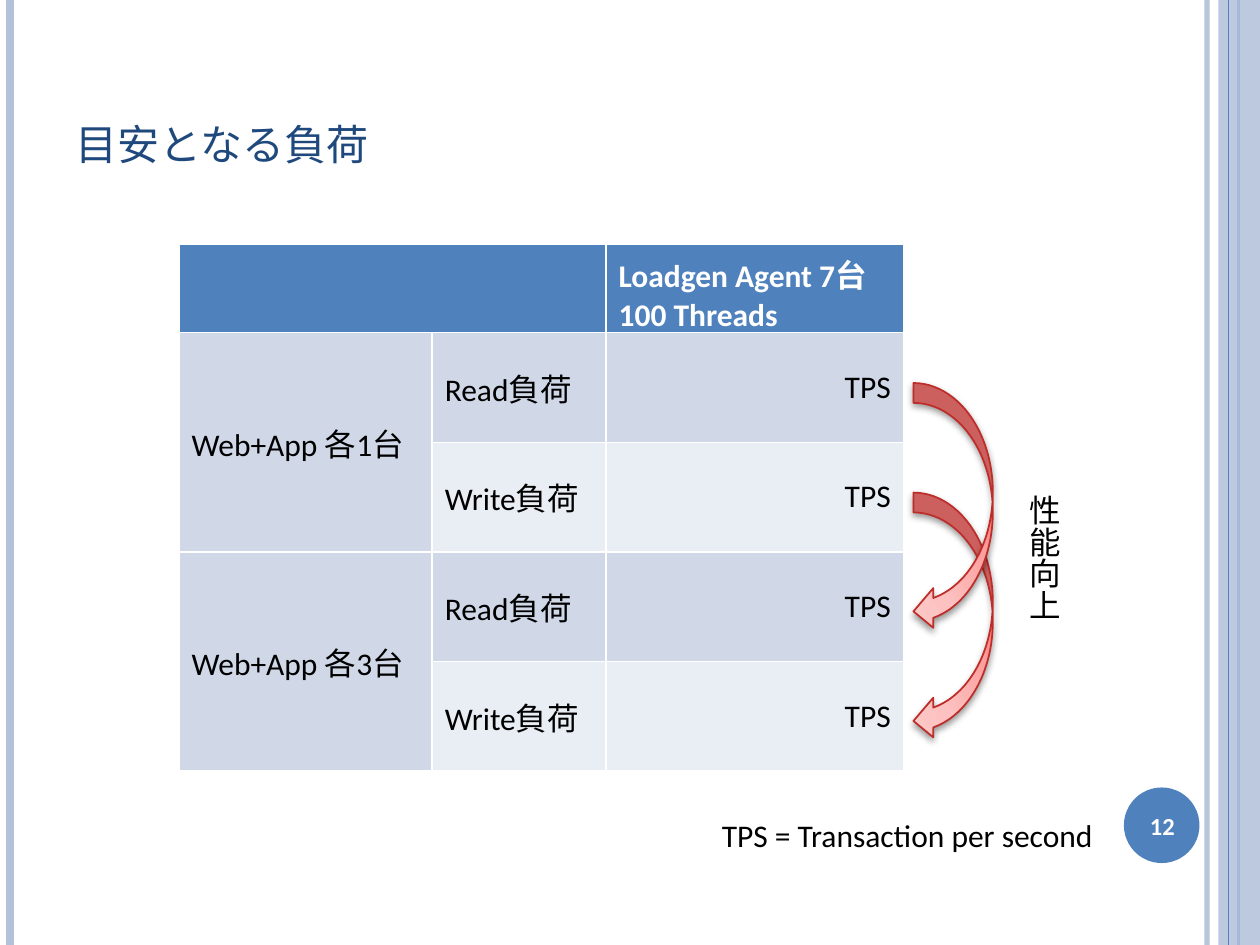
from dataclasses import dataclass

from pptx import Presentation, oxml, util as u
from pptx.dml.color import RGBColor
from pptx.enum import shapes, text
from pptx.oxml import ns

COLUMNS, ROWS = 100, 75


@dataclass(frozen=True)
class Theme:
    font: str = "Calibri"
    accent: str = "4F81BD"
    rail: str = "B3C1DB"
    heading: str = "1F497D"
    ink: str = "000000"
    paper: str = "FFFFFF"
    band_dark: str = "D0D8E8"
    band_light: str = "E9EDF4"
    arrow_edge: str = "BD2D29"
    arrow_stops: tuple = ((0, "FCC7C6"), (30, "FCC1C0"), (75, "FC9F9D"), (100, "FF7977"))
    title_size: int = 30
    body_size: int = 18
    number_size: int = 14


THEME = Theme()


def xml(markup):
    """Parse one drawing element whose tag is given without its namespace."""
    tag, rest = markup[1:].split(" ", 1)
    return oxml.parse_xml(f"<a:{tag} {ns.nsdecls('a')} {rest}")


def write(frame, content, size=THEME.body_size, color=THEME.ink, bold=False,
          align=text.PP_ALIGN.LEFT, small_caps=False):
    paragraph = frame.paragraphs[0]
    paragraph.alignment = align
    run = paragraph.add_run()
    run.text = content
    run.font.name = THEME.font
    run.font.size = u.Pt(size)
    run.font.bold = bold
    run.font.color.rgb = RGBColor.from_string(color)
    if small_caps:
        run.font._element.set("cap", "small")


class SlideBuilder:
    def __init__(self, deck, theme):
        self.theme = theme
        self.column = deck.slide_width / COLUMNS
        self.row = deck.slide_height / ROWS
        self.slide = deck.slides.add_slide(deck.slide_layouts[6])

    def x(self, columns):
        return u.Emu(round(columns * self.column))

    def y(self, rows):
        return u.Emu(round(rows * self.row))

    def box(self, left, top, width, height):
        return self.x(left), self.y(top), self.x(width), self.y(height)

    def set_opacity(self, item, percent):
        color = item.element.spPr.xpath(".//a:srgbClr")[0]
        color.append(xml(f'<alpha val="{percent * 1000}"/>'))

    def rail(self, column, color, weight, opacity=100):
        line = self.slide.shapes.add_connector(
            shapes.MSO_CONNECTOR.STRAIGHT, self.x(column), 0, self.x(column), self.y(ROWS))
        line.line.color.rgb = RGBColor.from_string(color)
        line.line.width = u.Pt(weight)
        line.element.spPr.append(xml("<effectLst />"))
        if opacity < 100:
            self.set_opacity(line, opacity)

    def shape(self, kind, place, color, opacity=100):
        item = self.slide.shapes.add_shape(kind, *self.box(*place))
        item.shadow.inherit = False
        item.fill.solid()
        item.fill.fore_color.rgb = RGBColor.from_string(color)
        item.line.fill.background()
        if opacity < 100:
            self.set_opacity(item, opacity)

    def label(self, place, content, anchor=text.MSO_ANCHOR.TOP, wrap=True,
              vertical=False, **style):
        frame = self.slide.shapes.add_textbox(*self.box(*place)).text_frame
        frame.word_wrap = wrap
        frame.vertical_anchor = anchor
        if not wrap:
            frame.auto_size = text.MSO_AUTO_SIZE.SHAPE_TO_FIT_TEXT
        if vertical:
            frame._txBody.bodyPr.set("vert", "eaVert")
        write(frame, content, **style)

    def curved_arrow(self, place):
        arrow = self.slide.shapes.add_shape(
            shapes.MSO_SHAPE.CURVED_LEFT_ARROW, *self.box(*place))
        arrow.line.color.rgb = RGBColor.from_string(self.theme.arrow_edge)
        arrow.line.width = u.Pt(1)
        arrow.shadow.inherit = False
        arrow.fill.background()
        properties = arrow.element.spPr
        stops = "".join(f'<a:gs pos="{position * 1000}"><a:srgbClr val="{color}"/></a:gs>'
                        for position, color in self.theme.arrow_stops)
        properties.replace(properties.find(ns.qn("a:noFill")), xml(
            f'<gradFill rotWithShape="1"><a:gsLst>{stops}</a:gsLst><a:path path="circle">'
            '<a:fillToRect l="5000" t="100000" r="120000" b="10000"/></a:path></a:gradFill>'))
        properties.find(ns.qn("a:effectLst")).append(xml(
            f'<outerShdw blurRad="{u.Pt(4)}" dist="{u.Pt(2)}" dir="5400000" rotWithShape="0">'
            '<a:srgbClr val="000000"><a:alpha val="40000"/></a:srgbClr></a:outerShdw>'))

    def cell(self, cell, fill, content="", **style):
        cell.fill.solid()
        cell.fill.fore_color.rgb = RGBColor.from_string(fill)
        cell.vertical_anchor = text.MSO_ANCHOR.MIDDLE
        if content:
            write(cell.text_frame, content, **style)

    def load_table(self, left, top, widths, heights, heading, servers, loads):
        theme = self.theme
        table = self.slide.shapes.add_table(
            len(heights), len(widths),
            *self.box(left, top, sum(widths), sum(heights))).table
        for column, width in zip(table.columns, widths):
            column.width = self.x(width)
        for row, height in zip(table.rows, heights):
            row.height = self.y(height)

        table.cell(0, 0).merge(table.cell(0, 1))
        for column, content in enumerate(("", "", heading)):
            self.cell(table.cell(0, column), theme.accent, content,
                      color=theme.paper, bold=True)

        for group, server in enumerate(servers):
            first = 1 + group * len(loads)
            table.cell(first, 0).merge(table.cell(first + len(loads) - 1, 0))
            for offset, load in enumerate(loads):
                row = first + offset
                band = theme.band_light if offset % 2 else theme.band_dark
                self.cell(table.cell(row, 0), band, "" if offset else server)
                self.cell(table.cell(row, 1), band, load)
                self.cell(table.cell(row, 2), band, "TPS", align=text.PP_ALIGN.RIGHT)


def main():
    deck = Presentation()
    deck.slide_width, deck.slide_height = u.Inches(10), u.Inches(7.5)
    page = SlideBuilder(deck, THEME)

    # Side rails and number badge
    page.rail(95.8, THEME.rail, 3, opacity=93)
    page.rail(0.8, THEME.rail, 4.5)
    page.rail(98.3, THEME.accent, 1.5)
    page.shape(shapes.MSO_SHAPE.RECTANGLE, (96.7, 0, 3.3, ROWS), THEME.rail, opacity=87)
    page.rail(97.5, THEME.accent, 0.75)
    page.shape(shapes.MSO_SHAPE.OVAL, (89.2, 62.5, 6, 6), THEME.accent)

    # Title and slide number
    page.label((5, 1.6, 81.7, 12.5), "目安となる負荷", anchor=text.MSO_ANCHOR.BOTTOM,
               size=THEME.title_size, color=THEME.heading, small_caps=True)
    page.label((88.9, 62.7, 6.7, 5.7), "12", anchor=text.MSO_ANCHOR.MIDDLE,
               size=THEME.number_size, color=THEME.paper, bold=True,
               align=text.PP_ALIGN.CENTER)

    # Load table
    row_height = 8.7
    page.load_table(14.2, 19.4, (20.1, 13.8, 23.6), (7, *[row_height] * 4),
                    "Loadgen Agent 7台 100 Threads",
                    ("Web+App 各1台", "Web+App 各3台"), ("Read負荷", "Write負荷"))
    page.label((56.3, 64.3, 31.8, 4), "TPS = Transaction per second", wrap=False)

    # Improvement arrows, one per load, the upper one in front
    for load in (1, 0):
        page.curved_arrow((72.5, 30.4 + load * row_height, 6.3, 19.7))
    page.label((79.9, 38.3, 5, 11.1), "性能向上", wrap=False, vertical=True)

    deck.save("out.pptx")


if __name__ == "__main__":
    main()
